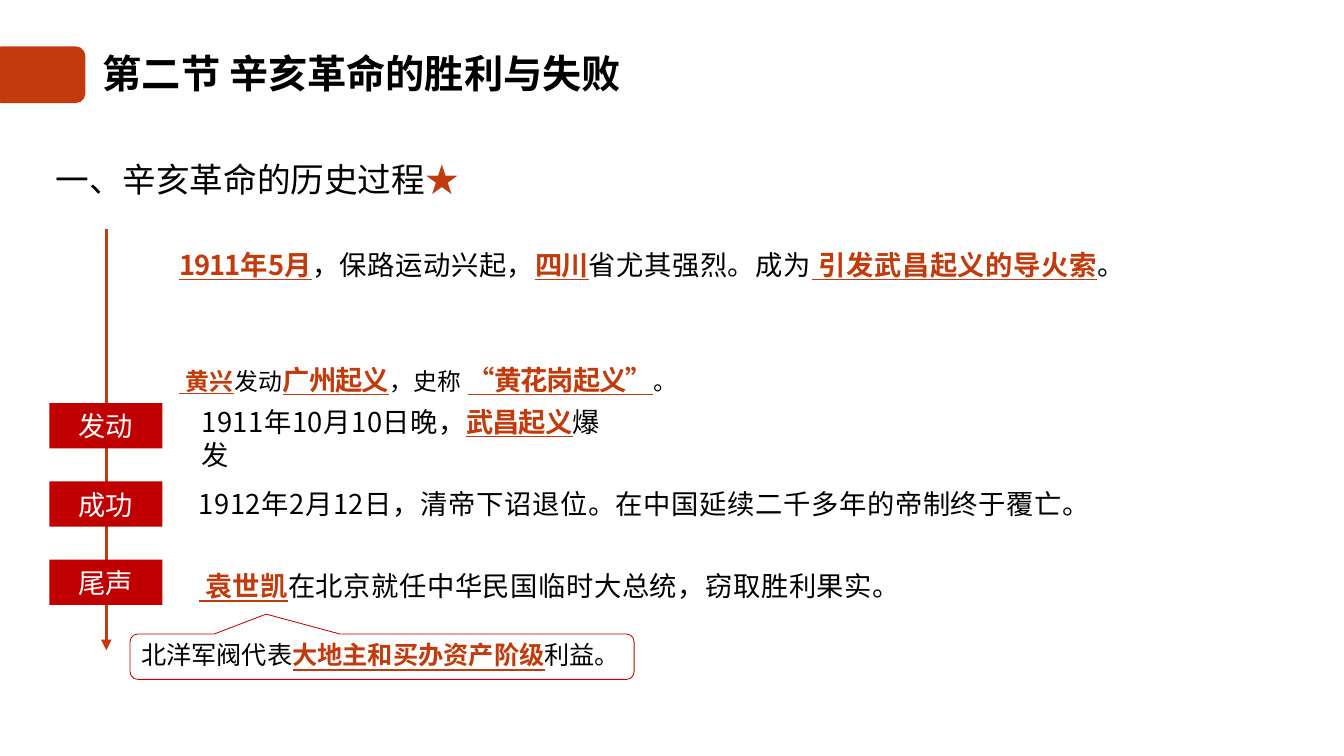
from dataclasses import dataclass

from lxml import etree
from pptx import Presentation
from pptx.dml.color import RGBColor
from pptx.enum.shapes import MSO_CONNECTOR, MSO_SHAPE
from pptx.enum.text import MSO_ANCHOR, PP_ALIGN
from pptx.oxml.ns import qn
from pptx.util import Emu, Inches, Pt

TOP, MIDDLE = MSO_ANCHOR.TOP, MSO_ANCHOR.MIDDLE
LEFT, CENTER = PP_ALIGN.LEFT, PP_ALIGN.CENTER
RECTANGLE, ROUNDED = MSO_SHAPE.RECTANGLE, MSO_SHAPE.ROUNDED_RECTANGLE
CALLOUT = MSO_SHAPE.ROUNDED_RECTANGULAR_CALLOUT
STRAIGHT = MSO_CONNECTOR.STRAIGHT

ORANGE = RGBColor(0xC2, 0x3B, 0x0D)
RED = RGBColor(0xC0, 0x00, 0x00)
BLACK = RGBColor(0x00, 0x00, 0x00)
WHITE = RGBColor(0xFF, 0xFF, 0xFF)
BODY_FONT = "Noto Sans CJK SC"
KEY_FONT = "Noto Sans CJK TC"
BODY_SIZE, SMALL_SIZE, NOTE_SIZE = 19.5, 17, 18

prs = Presentation()
prs.slide_width, prs.slide_height = Inches(13.33), Inches(7.5)
slide = prs.slides.add_slide(prs.slide_layouts[6])


@dataclass(frozen=True)
class Run:
    text: str
    size: float = BODY_SIZE
    color: RGBColor = BLACK
    font: str = BODY_FONT
    bold: bool = False
    underline: bool = False
    spacing: float = 0.35


@dataclass(frozen=True)
class Area:
    """Left, top, width and height in percent of the slide."""
    left: float
    top: float
    width: float
    height: float


@dataclass(frozen=True)
class Passage:
    area: Area
    runs: list[Run]
    anchor: MSO_ANCHOR = TOP
    line_spacing: float = 1.0


def key(text: str, size: float = BODY_SIZE, spacing: float = -0.8,
        underline: bool = True) -> Run:
    """A highlighted term to memorise."""
    return Run(text, size, ORANGE, KEY_FONT, True, underline, spacing)


def across(percent: float) -> Emu:
    return Emu(round(prs.slide_width * percent / 100))


def down(percent: float) -> Emu:
    return Emu(round(prs.slide_height * percent / 100))


def place(area: Area) -> tuple[Emu, Emu, Emu, Emu]:
    return across(area.left), down(area.top), across(area.width), down(area.height)


def write(frame, runs: list[Run], anchor: MSO_ANCHOR = TOP,
          align: PP_ALIGN = LEFT, line_spacing: float = 1.0) -> None:
    frame.word_wrap = True
    frame.vertical_anchor = anchor
    frame.margin_left = frame.margin_right = frame.margin_top = frame.margin_bottom = 0
    paragraph = frame.paragraphs[0]
    paragraph.alignment = align
    paragraph.line_spacing = line_spacing
    for part in runs:
        run = paragraph.add_run()
        run.text = part.text
        font = run.font
        font.size, font.bold, font.underline = Pt(part.size), part.bold, part.underline
        font.color.rgb = part.color
        font.name = part.font
        properties = run._r.get_or_add_rPr()
        properties.set("lang", "zh-CN")
        properties.set("spc", str(round(part.spacing * 100)))
        etree.SubElement(properties, qn("a:ea")).set("typeface", part.font)


def add_passage(passage: Passage) -> None:
    box = slide.shapes.add_textbox(*place(passage.area))
    write(box.text_frame, passage.runs, passage.anchor,
          line_spacing=passage.line_spacing)


def add_block(kind: MSO_SHAPE, area: Area, fill: RGBColor):
    block = slide.shapes.add_shape(kind, *place(area))
    block.shadow.inherit = False
    block.fill.solid()
    block.fill.fore_color.rgb = fill
    block.line.fill.background()
    return block


def add_line(x1: float, y1: float, x2: float, y2: float, width: float,
             arrow: bool = False) -> None:
    line = slide.shapes.add_connector(STRAIGHT, across(x1), down(y1), across(x2), down(y2))
    line.line.color.rgb = ORANGE
    line.line.width = Pt(width)
    if arrow:
        etree.SubElement(line.line._get_or_add_ln(), qn("a:tailEnd")).set("type", "triangle")
    etree.SubElement(line._element.spPr, qn("a:effectLst"))


def add_callout(area: Area, tip_x: float, tip_y: float) -> None:
    """Outlined callout; the tip is given in shares of its size from its centre."""
    callout = slide.shapes.add_shape(CALLOUT, *place(area))
    callout.adjustments[0], callout.adjustments[1] = tip_x, tip_y
    callout.shadow.inherit = False
    callout.fill.background()
    callout.line.color.rgb = RED
    callout.line.width = Pt(0.6)


STAGES = ["发动", "成功", "尾声"]
STAGE_TOP, STAGE_STEP = 53.33, 10.35

PASSAGES = [
    Passage(Area(7.65, 5.33, 84.75, 9.47),
            [Run("第二节 辛亥革命的胜利与失败", 28, bold=True, spacing=0)], MIDDLE, 0.9),
    Passage(Area(4.13, 21.07, 60, 6),
            [Run("一、辛亥革命的历史过程", 24, spacing=0), Run("★", 24, ORANGE, spacing=0)]),
    Passage(Area(13.35, 32.8, 75, 5.2), [
        key("1911"), key("年", spacing=0.2), key("5"), key("月", spacing=0.2),
        Run("，保路运动兴起，"), key("四川"), Run("省尤其强烈。成为"),
        key(" 引发武昌起义的导火索", spacing=0.4), Run("。")]),
    Passage(Area(13.35, 48, 60, 5.2), [
        key(" 黄兴", SMALL_SIZE, 0.4), Run("发动", SMALL_SIZE), key("广州起义"),
        Run("，史称 ", SMALL_SIZE), key("“黄花岗起义”"), Run("。", SMALL_SIZE)]),
    Passage(Area(15, 53.6, 31.6, 9), [
        Run("1911年10月10日晚，"), key("武昌起义"), Run("爆发", spacing=0.8)]),
    Passage(Area(14.78, 64.4, 65.85, 9),
            [Run("1912年2月12日，清帝下诏退位。在中国延续二千多年的帝制终于覆亡。", spacing=0.4)]),
    Passage(Area(14.78, 75.33, 52, 5.2), [
        key(" 袁世凯", spacing=0.2), Run("在北京就任中华民国临时大总统，窃取胜利果实。")]),
    Passage(Area(10.5, 84.53, 35.8, 4.6), [
        Run("北洋军阀代表", NOTE_SIZE, spacing=0),
        key("大地主和买办资产阶级", NOTE_SIZE, 0, underline=False),
        Run("利益。", NOTE_SIZE, spacing=0)]),
]


def main() -> None:
    add_block(ROUNDED, Area(-0.6, 6.13, 6.95, 7.5), ORANGE)
    add_line(7.91, 30.27, 7.91, 86, 2.5, arrow=True)
    for row, stage in enumerate(STAGES):
        block = add_block(RECTANGLE, Area(3.68, STAGE_TOP + row * STAGE_STEP, 8.4, 6), RED)
        write(block.text_frame, [Run(stage, color=WHITE, spacing=0.2)], MIDDLE, CENTER)
    add_callout(Area(9.68, 83.87, 37.5, 6), -0.23, -0.94)
    add_line(21.83, 88.67, 40.58, 88.67, 1.2)
    for passage in PASSAGES:
        add_passage(passage)
    prs.save("out.pptx")


if __name__ == "__main__":
    main()
